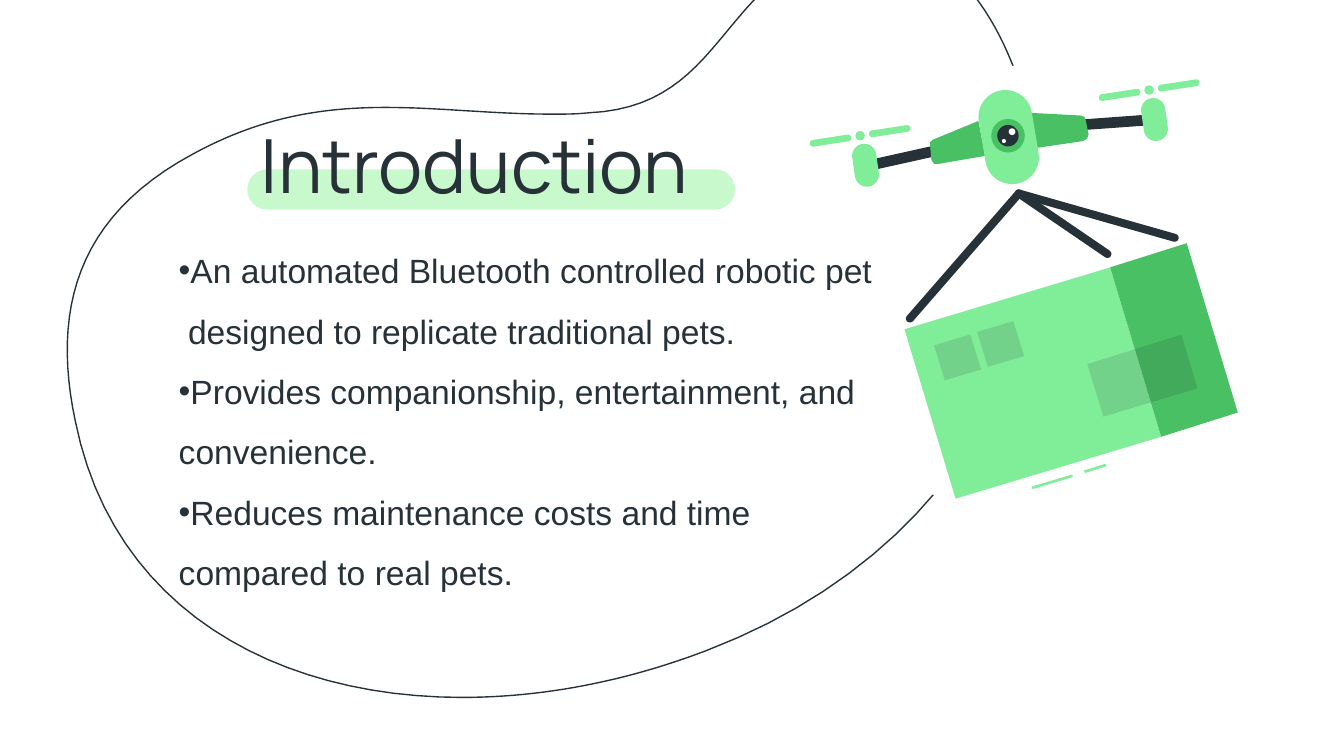
import math

import pptx
import pptx.util
import pptx.dml.color
import pptx.enum.shapes
import pptx.enum.text
import pptx.oxml
import pptx.oxml.ns

Inches = pptx.util.Inches
Pt = pptx.util.Pt
KIND = pptx.enum.shapes.MSO_SHAPE
ANCHOR = pptx.enum.text.MSO_ANCHOR
LEFT = pptx.enum.text.PP_ALIGN.LEFT
SPACE = pptx.oxml.ns.nsdecls("a")

INK = {"dark": "263238", "light": "80ED99", "mid": "48C063",
       "pale": "C7F9CC", "shade": "1A2327", "white": "FFFFFF"}
LINES = [
    ("•", "An automated Bluetooth controlled robotic pet"),
    (None, " designed to replicate traditional pets."),
    ("•", "Provides companionship, entertainment, and convenience."),
    ("•", "Reduces maintenance costs and time compared to real pets."),
]


def color(name):
    return pptx.dml.color.RGBColor.from_string(INK[name])


def paint(shape, fill, alpha=None):
    """Fill a shape flat, with no outline or shadow."""
    shape.shadow.inherit = False
    shape.line.fill.background()
    shape.fill.solid()
    shape.fill.fore_color.rgb = color(fill)
    if alpha:
        tint = shape.fill._xPr.find(".//" + pptx.oxml.ns.qn("a:srgbClr"))
        tint.append(pptx.oxml.parse_xml(f'<a:alpha {SPACE} val="{alpha * 1000}"/>'))


def trace(shapes, box, points):
    """Closed outline through points given relative to the box."""
    spots = [(Inches(box[0] + x), Inches(box[1] + y)) for x, y in points]
    pen = shapes.build_freeform(*spots[0])
    pen.add_line_segments(spots[1:], close=True)
    return pen.convert_to_shape()


def dot(shapes, box, x, y, size, fill):
    left, top = box[0] + x - size / 2, box[1] + y - size / 2
    paint(shapes.add_shape(KIND.OVAL, *map(Inches, (left, top, size, size))), fill)


def bar(shapes, box, start, end, width, fill, cap=True):
    """Thick stroke between two points, with round or flat ends."""
    dx, dy = end[0] - start[0], end[1] - start[1]
    size = math.hypot(dx, dy) + (width if cap else 0)
    left = box[0] + (start[0] + end[0] - size) / 2
    top = box[1] + (start[1] + end[1] - width) / 2
    kind = KIND.ROUNDED_RECTANGLE if cap else KIND.RECTANGLE
    rod = shapes.add_shape(kind, *map(Inches, (left, top, size, width)))
    if cap:
        rod.adjustments[0] = 0.5
    rod.rotation = math.degrees(math.atan2(dy, dx))
    paint(rod, fill)


def bend(start, curves, steps=24):
    """Points along a chain of cubic curves."""
    points = [start]
    for a, b, end in curves:
        base = points[-1]
        for step in range(1, steps + 1):
            t = step / steps
            u = 1 - t
            mix = (u ** 3, 3 * u * u * t, 3 * u * t * t, t ** 3)
            points.append(tuple(
                sum(m * p[axis] for m, p in zip(mix, (base, a, b, end)))
                for axis in (0, 1)))
    return points


def blob(shapes, box):
    curves = [
        ((5.96, 0), (5.79, 0.04), (5.61, 0.13)),
        ((4.94, 0.48), (4.89, 1.24), (3.98, 1.28)),
        ((3.89, 1.29), (3.8, 1.29), (3.71, 1.29)),
        ((3.27, 1.29), (2.87, 1.24), (2.47, 1.24)),
        ((2, 1.24), (1.54, 1.31), (1.03, 1.59)),
        ((0.16, 2.06), (-0.01, 2.76), (0.16, 3.57)),
        ((0.44, 4.97), (1.65, 5.63), (3.04, 5.63)),
        ((3.64, 5.63), (4.26, 5.51), (4.86, 5.28)),
        ((6.77, 4.55), (7.65, 2.86), (7.22, 1.18)),
        ((7.08, 0.67), (6.72, 0), (6.11, 0)),
    ]
    edge = trace(shapes, box, bend((6.11, 0), curves))
    edge.shadow.inherit = False
    edge.fill.background()
    edge.line.color.rgb = color("dark")
    edge.line.width = Pt(0.75)


def parcel(shapes, box):
    # Faces, labels and tape
    faces = [
        ([(1.56, 0.59), (0.03, 1.05), (0.41, 2.31), (1.94, 1.85)], "light", None),
        ([(2.13, 0.41), (1.56, 0.59), (1.94, 1.85), (2.51, 1.67)], "mid", None),
        ([(2.09, 1.09), (1.39, 1.31), (1.51, 1.7), (2.21, 1.49)], "shade", 13),
    ]
    tag = [(0.52, 1.09), (0.25, 1.17), (0.33, 1.43), (0.6, 1.35)]
    for dx, dy in ((0, 0), (0.32, -0.1)):
        faces.append(([(x + dx, y + dy) for x, y in tag], "shade", 13))
    for points, fill, alpha in faces:
        paint(trace(shapes, box, points), fill, alpha)
    # Dashes below
    for start, end in (((0.98, 2.23), (1.28, 2.14)), ((1.37, 2.11), (1.53, 2.06))):
        bar(shapes, box, start, end, 0.02, "light", cap=False)
    # Cables
    for end in ((2.04, 0.37), (1.54, 0.49), (0.07, 0.97)):
        bar(shapes, box, (0.88, 0.04), end, 0.06, "dark")


def drone(shapes, box):
    # Arms and wings
    for start, end in (((2.04, 0.53), (2.59, 0.49)), ((0.43, 0.84), (0.97, 0.72))):
        bar(shapes, box, start, end, 0.08, "dark", cap=False)
    wings = [
        [(1.67, 0.44), (1.72, 0.7), (2.06, 0.65), (2.09, 0.63),
         (2.1, 0.6), (2.08, 0.5), (2.07, 0.47), (2.04, 0.46)],
        [(1.28, 0.5), (0.94, 0.64), (0.92, 0.66), (0.92, 0.68),
         (0.93, 0.79), (0.95, 0.82), (0.98, 0.82), (1.33, 0.76)],
    ]
    for points in wings:
        paint(trace(shapes, box, points), "mid")
    # Motors with their rotors
    for x, y in ((2.55, 0.27), (0.4, 0.61)):
        bar(shapes, box, (x + 0.03, y + 0.15), (x + 0.05, y + 0.29), 0.18, "light")
        dot(shapes, box, x, y, 0.07, "light")
        for side in (-0.35, 0.09):
            rise = -0.16 * side
            bar(shapes, box, (x + side, y + rise),
                (x + side + 0.26, y + rise - 0.04), 0.05, "light")
    # Body and lens
    bar(shapes, box, (1.48, 0.47), (1.53, 0.77), 0.4, "light")
    for x, y, size, fill in (
            (1.5, 0.61, 0.25, "mid"), (1.5, 0.61, 0.16, "dark"),
            (1.53, 0.58, 0.05, "white"), (1.47, 0.65, 0.03, "white")):
        dot(shapes, box, x, y, size, fill)


def place(holder, box, **look):
    """Move a placeholder into its box, in front of the art."""
    holder.left, holder.top, holder.width, holder.height = map(Inches, box)
    look.update(word_wrap=True, auto_size=pptx.enum.text.MSO_AUTO_SIZE.NONE,
                margin_left=Inches(0.1), margin_right=Inches(0.1))
    for name, value in look.items():
        setattr(holder.text_frame, name, value)
    holder._element.getparent().append(holder._element)
    return holder.text_frame


def write(para, text, look, font):
    para.text = text
    for part, values in ((para, look), (para.runs[0].font, font)):
        for name, value in values.items():
            setattr(part, name, value)
    para.runs[0].font.color.rgb = color("dark")


def head(slide, box):
    bar(slide.shapes, box, (0.15, 0.62), (3.48, 0.62), 0.3, "pale")
    frame = place(slide.shapes.title, box, vertical_anchor=ANCHOR.MIDDLE,
                  margin_top=Inches(0.17), margin_bottom=Inches(0.1))
    write(frame.paragraphs[0], "Introduction", {"alignment": LEFT},
          {"size": Pt(40), "name": "Manrope"})


def body(slide, box):
    frame = place(slide.placeholders[1], box, vertical_anchor=ANCHOR.BOTTOM,
                  margin_top=Inches(0.1), margin_bottom=Inches(0.07))
    look = {"alignment": LEFT, "line_spacing": 1.5,
            "space_before": Pt(0), "space_after": Pt(0)}
    for i, (mark, text) in enumerate(LINES):
        para = frame.add_paragraph() if i else frame.paragraphs[0]
        write(para, text, look, {"size": Pt(18), "name": "Arial"})
        props = para._p.get_or_add_pPr()
        props.set("marL", "0")
        props.set("indent", "0")
        tag = f'buChar {SPACE} char="{mark}"' if mark else f"buNone {SPACE}"
        props.append(pptx.oxml.parse_xml(f"<a:{tag}/>"))


def main():
    deck = pptx.Presentation()
    deck.slide_width = Inches(10)
    deck.slide_height = Inches(10) * 9 // 16
    slide = deck.slides.add_slide(deck.slide_layouts[1])
    blob(slide.shapes, (0.4, -0.44))
    head(slide, (1.84, 0.79, 4.23, 0.79))
    # Delivery art on a white disc
    art = slide.shapes.add_group_shape().shapes
    dot(art, (6.08, 0.47), 1.72, 1.72, 3.44, "white")
    parcel(art, (6.7, 1.4))
    drone(art, (6, 0.4))
    body(slide, (1.23, 0.44, 5.44, 4.04))
    deck.save("out.pptx")


if __name__ == "__main__":
    main()
